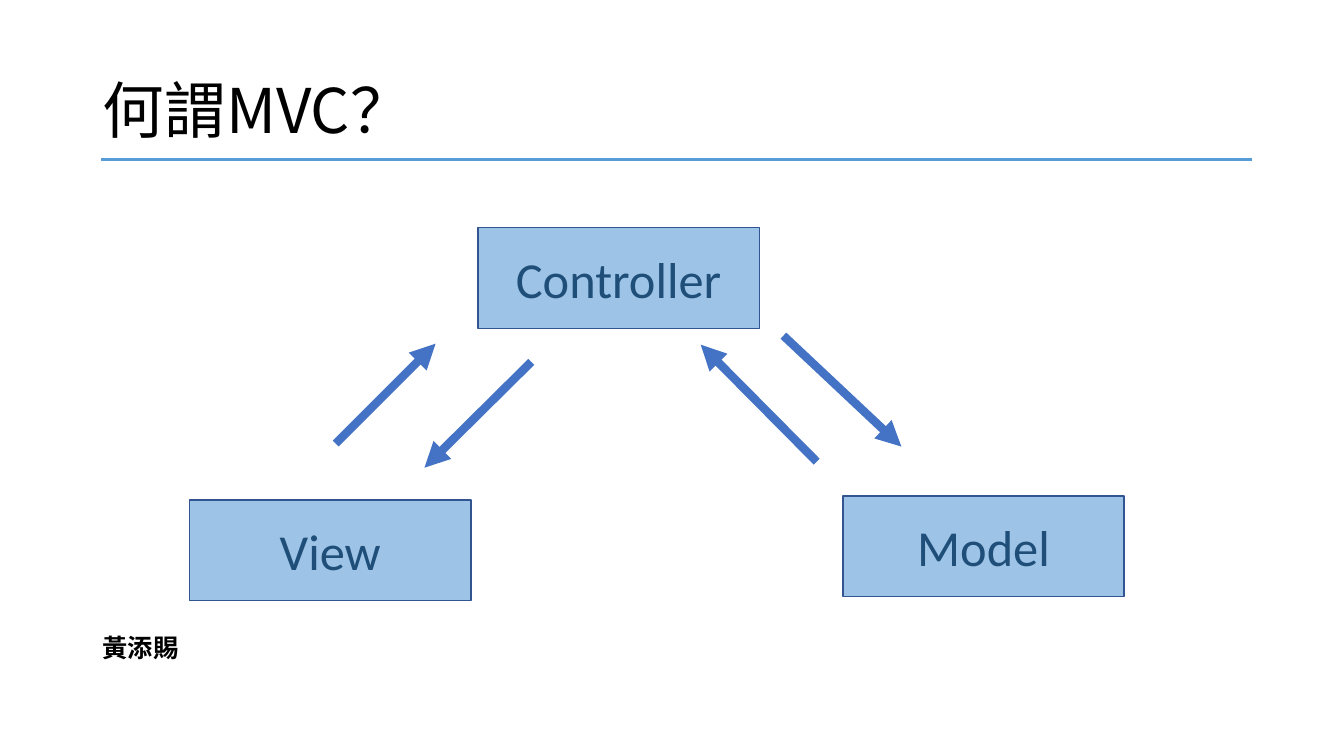
from lxml.etree import SubElement
from pptx import Presentation
from pptx.dml.color import RGBColor
from pptx.enum.shapes import MSO_CONNECTOR as CONN, MSO_SHAPE as SHAPE
from pptx.enum.text import MSO_ANCHOR as ANCHOR, MSO_AUTO_SIZE as FIT, PP_ALIGN as ALIGN
from pptx.oxml.ns import qn
from pptx.util import Inches, Pt

CJK = "Noto Sans CJK SC"
BOX_W, BOX_H = 2.79, 1


def rgb(value):
    return RGBColor.from_string(value)


def inches(*values):
    return [Inches(v) for v in values]


def write(tf, text, size, font=CJK, color="000000", bold=False,
          align=ALIGN.LEFT, anchor=ANCHOR.TOP, wrap=True, spacing=1.0):
    tf.word_wrap = wrap
    tf.vertical_anchor = anchor
    p = tf.paragraphs[0]
    p.alignment = align
    p.line_spacing = spacing
    r = p.add_run()
    r.text = text
    r.font.size = Pt(size)
    r.font.bold = bold
    r.font.color.rgb = rgb(color)
    r.font.name = font
    SubElement(r.font._element, qn("a:ea"), typeface=font)


def add_title(s, text):
    title = s.shapes.title
    title.left, title.top, title.width, title.height = inches(0.92, 0.4, 11.5, 1.45)
    write(title.text_frame, text, 44, anchor=ANCHOR.MIDDLE, spacing=0.9)


def add_author(s, text):
    sp = s.shapes.add_textbox(*inches(0.92, 6.22, 0.96, 0.4))
    write(sp.text_frame, text, 18, bold=True, wrap=False)
    sp.text_frame.auto_size = FIT.SHAPE_TO_FIT_TEXT


def add_box(s, text, left, top):
    sp = s.shapes.add_shape(SHAPE.RECTANGLE, *inches(left, top, BOX_W, BOX_H))
    sp.shadow.inherit = False
    sp.fill.solid()
    sp.fill.fore_color.rgb = rgb("9DC3E6")
    sp.line.color.rgb = rgb("325491")
    sp.line.width = Pt(1)
    write(sp.text_frame, text, 36, font="Calibri", color="1F4E79",
          align=ALIGN.CENTER, anchor=ANCHOR.MIDDLE)


def add_line(s, start, end, color, width, arrow=False):
    line = s.shapes.add_connector(CONN.STRAIGHT, *inches(*start, *end))
    line.line.color.rgb = rgb(color)
    line.line.width = Pt(width)
    if arrow:
        SubElement(line.line._get_or_add_ln(), qn("a:tailEnd"), type="triangle")
    SubElement(line._element.spPr, qn("a:effectLst"))


def main():
    prs = Presentation()
    prs.slide_width, prs.slide_height = inches(13.33, 7.5)
    s = prs.slides.add_slide(prs.slide_layouts[5])

    add_title(s, "何謂MVC？")
    add_author(s, "黃添賜")
    add_line(s, (1, 1.58), (12.42, 1.58), "569CD6", 2.25)

    for name, left, top in (("Controller", 4.74, 2.26),
                            ("View", 1.88, 4.96),
                            ("Model", 8.36, 4.92)):
        add_box(s, name, left, top)

    for start, end in (((3.33, 4.4), (4.32, 3.41)),
                       ((5.27, 3.59), (4.21, 4.64)),
                       ((8.1, 4.58), (6.95, 3.42)),
                       ((7.77, 3.33), (8.94, 4.43))):
        add_line(s, start, end, "4472C4", 6, arrow=True)

    prs.save("out.pptx")


if __name__ == "__main__":
    main()
